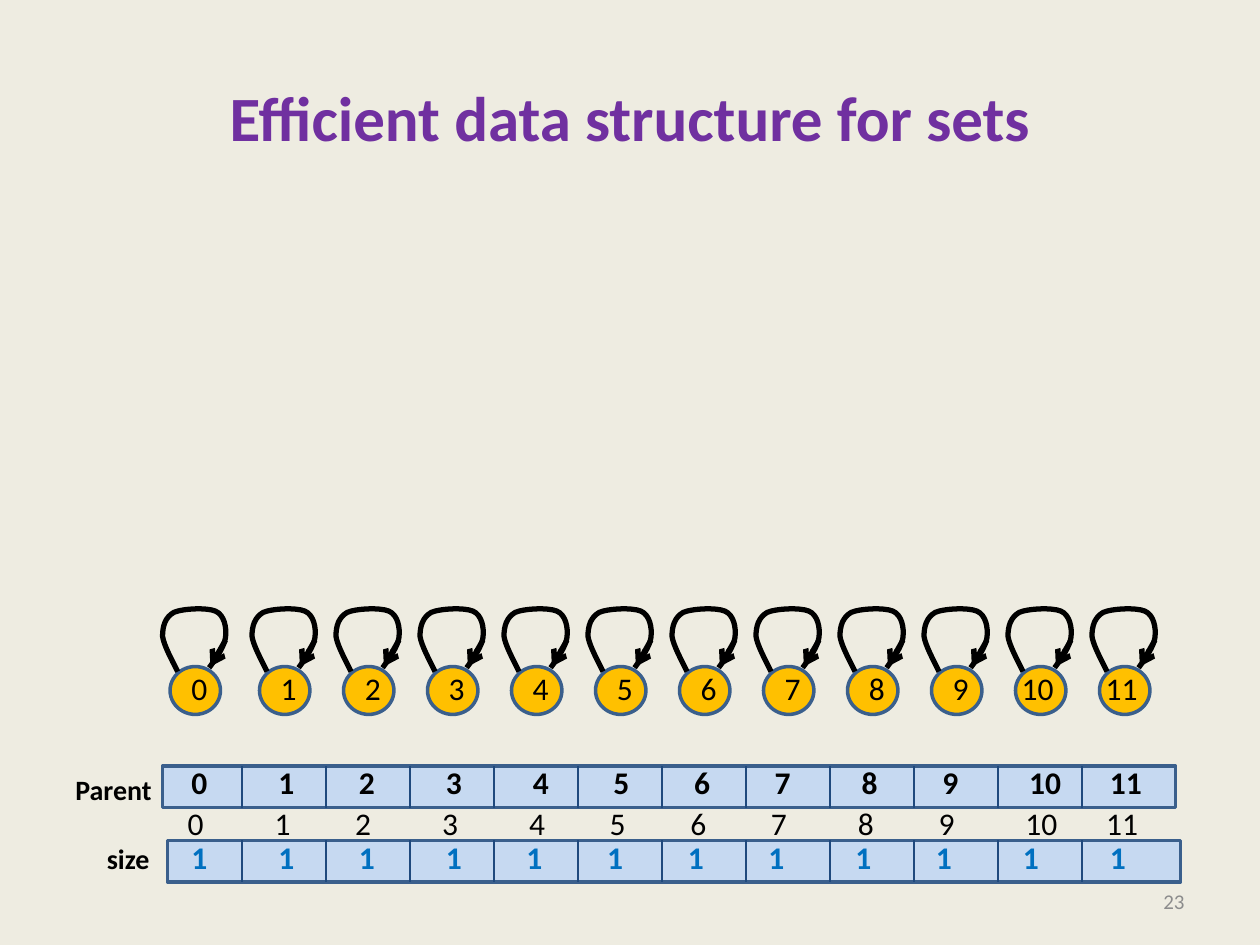
from itertools import accumulate

from lxml import etree
from pptx import Presentation
from pptx.dml.color import RGBColor
from pptx.enum.shapes import MSO_CONNECTOR, MSO_SHAPE
from pptx.enum.text import MSO_ANCHOR, PP_ALIGN
from pptx.oxml.ns import qn
from pptx.util import Inches, Pt

STRAIGHT = MSO_CONNECTOR.STRAIGHT
OVAL, RECT = MSO_SHAPE.OVAL, MSO_SHAPE.RECTANGLE
LEFT, CENTER, RIGHT = PP_ALIGN.LEFT, PP_ALIGN.CENTER, PP_ALIGN.RIGHT
TOP, MIDDLE = MSO_ANCHOR.TOP, MSO_ANCHOR.MIDDLE

FONT = "Calibri"
COLORS = {
    "background": "EEECE1", "title": "7030A0", "text": "000000",
    "page": "8C8C8C", "node": "FFC000", "outline": "3A5F8C",
    "cell": "C6D9F1", "divider": "1F497D", "size": "0070C0",
}
COUNT = 12
PITCH = 2 / 3
WIDE, NARROW = 0.69, 0.64
INDEX_GAPS = [WIDE, NARROW, WIDE, WIDE, NARROW, NARROW,
              NARROW, WIDE, NARROW, WIDE, NARROW]
SIZE_GAPS = [WIDE, NARROW, WIDE, NARROW, NARROW, NARROW,
             NARROW, WIDE, NARROW, WIDE, WIDE]
# Self loop, relative to the node's corner: start, then three points per curve
LOOP = [(0.06, 0.04),
        (0.01, -0.06), (-0.05, -0.17), (-0.06, -0.24),
        (-0.06, -0.32), (-0.04, -0.39), (0.03, -0.43),
        (0.1, -0.46), (0.29, -0.47), (0.36, -0.44),
        (0.43, -0.41), (0.45, -0.31), (0.44, -0.23),
        (0.43, -0.16), (0.37, -0.07), (0.31, 0.01)]


def color(name):
    return RGBColor.from_string(COLORS[name])


def set_line(shape, name, width):
    shape.line.color.rgb = color(name)
    shape.line.width = Pt(width)


def write(frame, text, size, ink="text", bold=False, align=LEFT, anchor=TOP):
    frame.vertical_anchor = anchor
    paragraph = frame.paragraphs[0]
    paragraph.alignment = align
    run = paragraph.add_run()
    run.text = text
    run.font.name, run.font.size, run.font.bold = FONT, Pt(size), bold
    run.font.color.rgb = color(ink)


def add_text(shapes, box, text, size, wrap=False, **style):
    frame = shapes.add_textbox(*map(Inches, box)).text_frame
    frame.word_wrap = wrap
    write(frame, text, size, **style)
    return frame


def add_shape(shapes, kind, box, fill):
    shape = shapes.add_shape(kind, *map(Inches, box))
    shape.shadow.inherit = False
    shape.fill.solid()
    shape.fill.fore_color.rgb = color(fill)
    set_line(shape, "outline", 2)


def add_line(shapes, start, end, ink, width, arrow=False):
    line = shapes.add_connector(STRAIGHT, *map(Inches, (*start, *end)))
    set_line(line, ink, width)
    if arrow:
        etree.SubElement(line.line._get_or_add_ln(), qn("a:tailEnd"), type="arrow")
    etree.SubElement(line._element.spPr, qn("a:effectLst"))


def add_loop(shapes, left, top):
    points = [(Inches(left + x), Inches(top + y)) for x, y in LOOP]
    builder = shapes.build_freeform(*points[0])
    builder.add_line_segments(points[1:], close=False)
    loop = builder.convert_to_shape()
    loop.shadow.inherit = False
    loop.fill.background()
    set_line(loop, "text", 3)
    # Turn each three segments into one Bezier curve
    outline = next(loop._element.iter(qn("a:path")))
    segments = outline.findall(qn("a:lnTo"))
    for first in range(0, len(segments), 3):
        curve = etree.SubElement(outline, qn("a:cubicBezTo"))
        for segment in segments[first:first + 3]:
            curve.append(segment[0])
            outline.remove(segment)


def add_number_row(shapes, box, values, gaps, **style):
    frame = add_text(shapes, box, "\t".join(map(str, values)), 18, wrap=True, **style)
    tabs = etree.SubElement(frame.paragraphs[0]._p.get_or_add_pPr(), qn("a:tabLst"))
    for position in accumulate(gaps):
        etree.SubElement(tabs, qn("a:tab"), pos=str(Inches(position)), algn="l")


def add_title(slide, box):
    title = slide.shapes.title
    title.left, title.top, title.width, title.height = map(Inches, box)
    write(title.text_frame, "Efficient data structure for sets", 36,
          ink="title", bold=True, align=CENTER, anchor=MIDDLE)


def add_node(slide, box, number):
    left, top, _, _ = box
    shapes = slide.shapes.add_group_shape().shapes
    add_shape(shapes, OVAL, box, "node")
    add_loop(shapes, left, top)
    add_line(shapes, (left + 0.44, top - 0.21), (left + 0.32, top),
             "text", 3, arrow=True)
    shift, width = (0.07, 0.33) if number < 10 else (-0.05, 0.46)
    add_text(shapes, (left + shift, top - 0.03, width, 0.4), str(number), 18)


def add_array(slide, box, label, label_box, number_box, values, gaps, ink):
    left, top, width, height = box
    shapes = slide.shapes.add_group_shape().shapes
    add_shape(shapes, RECT, box, "cell")
    for i in range(COUNT - 1):
        x = 1.92 + i * PITCH
        add_line(shapes, (x, top), (x, top + height), "divider", 1.5)
    add_text(shapes, label_box, label, 16, bold=True)
    add_number_row(shapes, number_box, values, gaps, ink=ink, bold=True)


def main():
    prs = Presentation()
    prs.slide_width, prs.slide_height = Inches(10), Inches(7.5)
    slide = prs.slides.add_slide(prs.slide_layouts[5])
    slide.background.fill.solid()
    slide.background.fill.fore_color.rgb = color("background")

    # Title and page number
    add_title(slide, (0.5, 0.3, 9, 1.25))
    add_text(slide.shapes, (7.17, 6.95, 2.33, 0.4), "23", 12, wrap=True,
             ink="page", align=RIGHT, anchor=MIDDLE)

    # Indices between the two arrays
    add_number_row(slide.shapes, (1.39, 6.33, 7.89, 0.4), range(COUNT), INDEX_GAPS)

    # Singleton sets, each node its own parent
    for number in range(COUNT):
        left = 2.06 + (number - 1) * PITCH if number else 1.35
        add_node(slide, (left, 5.29, 0.4, 0.38), number)

    # Size and parent arrays
    add_array(slide, (1.33, 6.67, 8.04, 0.33), "size", (0.75, 6.63, 0.54, 0.37),
              (1.42, 6.6, 7.89, 0.4), [1] * COUNT, SIZE_GAPS, "size")
    add_array(slide, (1.29, 6.08, 8.04, 0.33), "Parent", (0.5, 6.08, 0.81, 0.37),
              (1.42, 6.01, 7.89, 0.4), range(COUNT), INDEX_GAPS, "text")
    prs.save("out.pptx")


if __name__ == "__main__":
    main()
